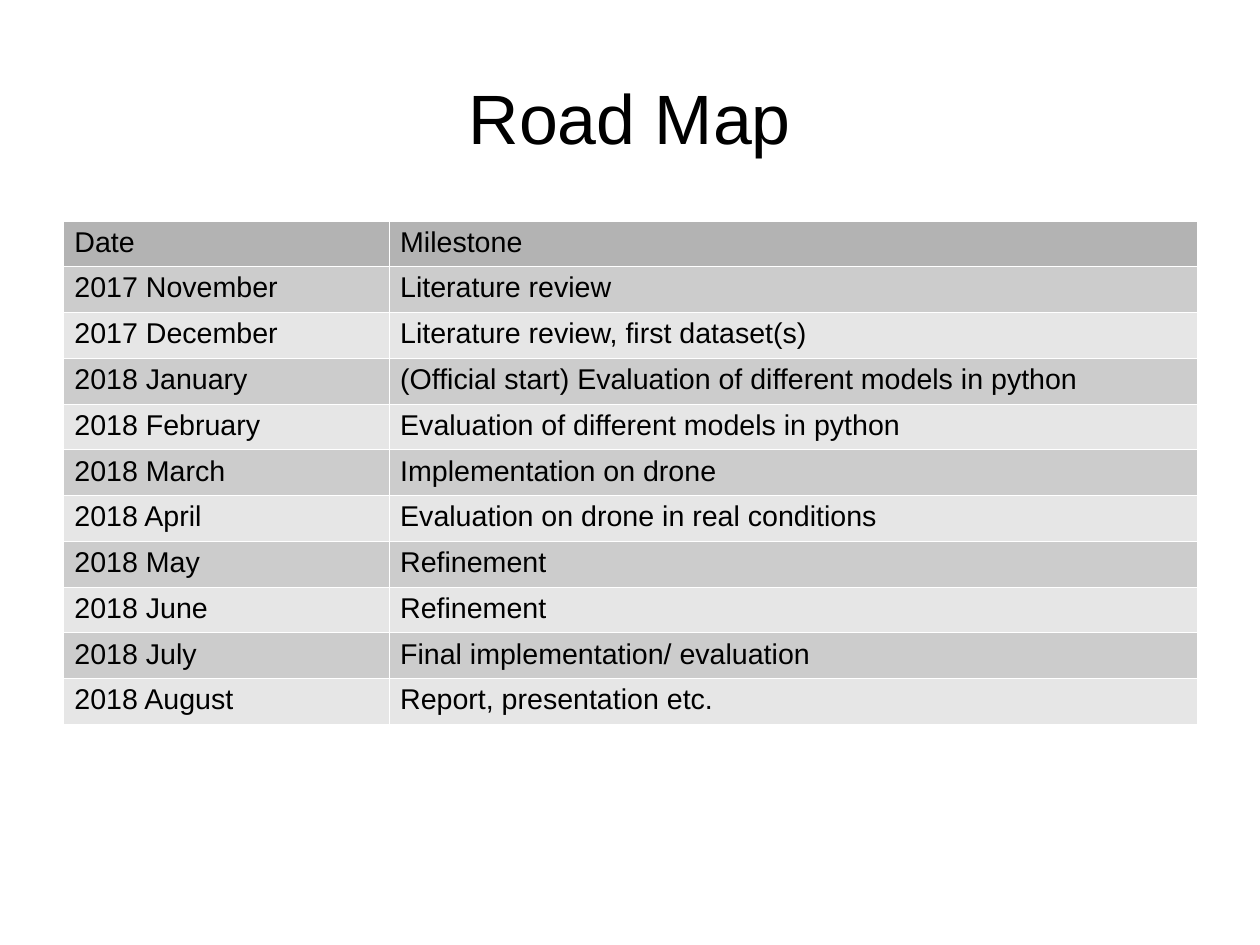
from lxml import etree
from pptx import Presentation
from pptx.dml.color import RGBColor
from pptx.enum import text
from pptx.oxml import ns
from pptx.util import Cm, Inches, Pt

TITLE = "Road Map"
MILESTONES = [
    ("Date", "Milestone"),
    ("2017 November", "Literature review"),
    ("2017 December", "Literature review, first dataset(s)"),
    ("2018 January", "(Official start) Evaluation of different models in python"),
    ("2018 February", "Evaluation of different models in python"),
    ("2018 March", "Implementation on drone"),
    ("2018 April", "Evaluation on drone in real conditions"),
    ("2018 May", "Refinement"),
    ("2018 June", "Refinement"),
    ("2018 July", "Final implementation/ evaluation"),
    ("2018 August", "Report, presentation etc."),
]
HEADER, BANDS = "B3B3B3", ("E6E6E6", "CCCCCC")
BLACK, WHITE = "000000", "FFFFFF"
FONT = "Arial"
WIDTH, HEIGHT = Cm(28), Cm(21)
MARGIN = int(WIDTH * 0.05)
CONTENT_W = int(WIDTH * 0.9)
TITLE_TOP, TITLE_H = int(HEIGHT * 0.04), int(HEIGHT / 6)
TABLE_TOP, ROW_H = Inches(1.93), Inches(0.4)
DATE_W = Inches(2.85)
COLUMNS = (DATE_W, CONTENT_W - DATE_W)
BORDER = Pt(0.06)


def color(value):
    return RGBColor.from_string(value)


def style(p, size):
    p.font.name = FONT
    p.font.size = Pt(size)
    p.font.color.rgb = color(BLACK)


def add_borders(cell):
    props = cell._tc.get_or_add_tcPr()
    for i, side in enumerate(("lnL", "lnR", "lnT", "lnB")):
        ln = etree.Element(ns.qn("a:" + side), w=str(int(BORDER)))
        fill = etree.SubElement(ln, ns.qn("a:solidFill"))
        etree.SubElement(fill, ns.qn("a:srgbClr"), val=WHITE)
        props.insert(i, ln)


def add_title(s):
    box = s.shapes.add_textbox(MARGIN, TITLE_TOP, CONTENT_W, TITLE_H)
    tf = box.text_frame
    tf.word_wrap = True
    tf.vertical_anchor = text.MSO_ANCHOR.MIDDLE
    tf.margin_left = tf.margin_right = tf.margin_top = tf.margin_bottom = 0
    p = tf.paragraphs[0]
    p.text = TITLE
    p.alignment = text.PP_ALIGN.CENTER
    style(p, 44)


def add_milestones(s):
    rows = len(MILESTONES)
    table = s.shapes.add_table(
        rows, len(COLUMNS), MARGIN, TABLE_TOP, CONTENT_W, rows * ROW_H).table
    for column, width in zip(table.columns, COLUMNS):
        column.width = width
    for r, entry in enumerate(MILESTONES):
        for c, label in enumerate(entry):
            cell = table.cell(r, c)
            cell.text = label
            cell.fill.solid()
            cell.fill.fore_color.rgb = color(BANDS[r % 2] if r else HEADER)
            p = cell.text_frame.paragraphs[0]
            style(p, 18)
            p.font.bold = False
            add_borders(cell)


def main():
    prs = Presentation()
    prs.slide_width, prs.slide_height = WIDTH, HEIGHT
    s = prs.slides.add_slide(prs.slide_layouts[6])
    add_title(s)
    add_milestones(s)
    prs.save("out.pptx")


if __name__ == "__main__":
    main()
